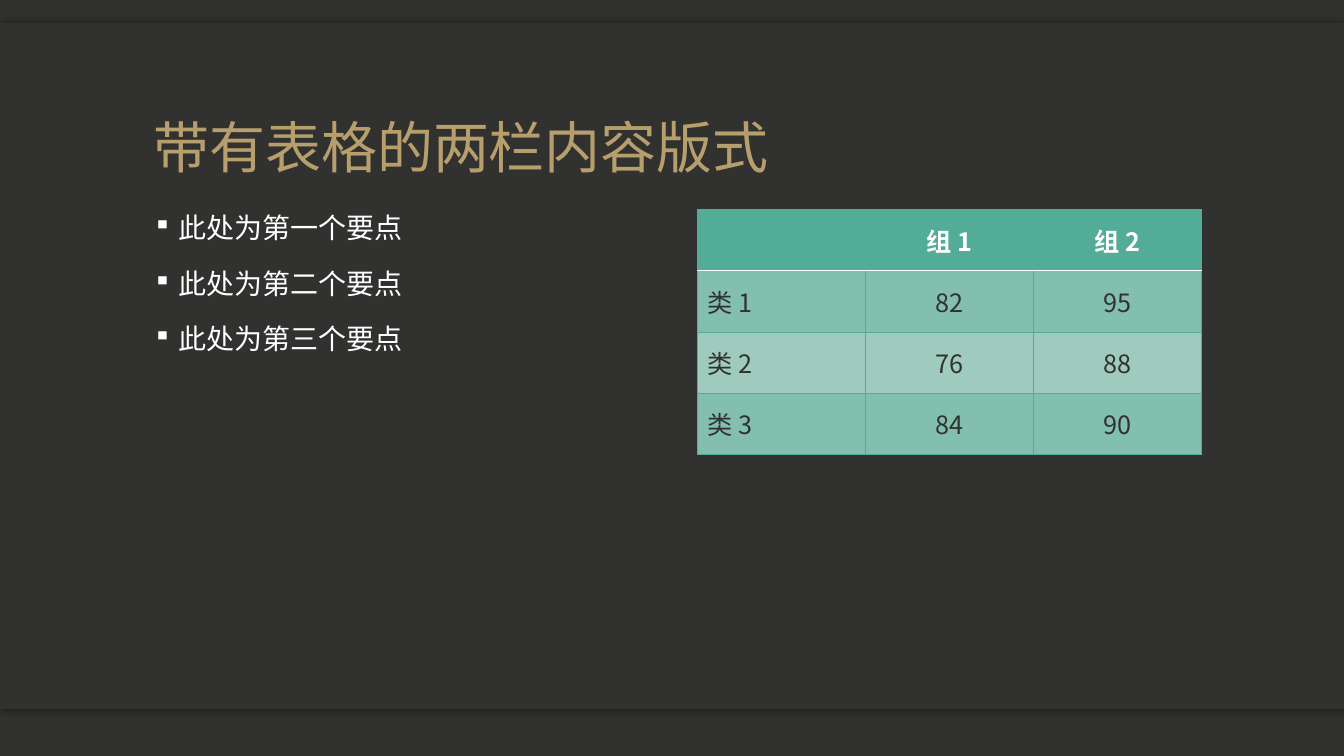
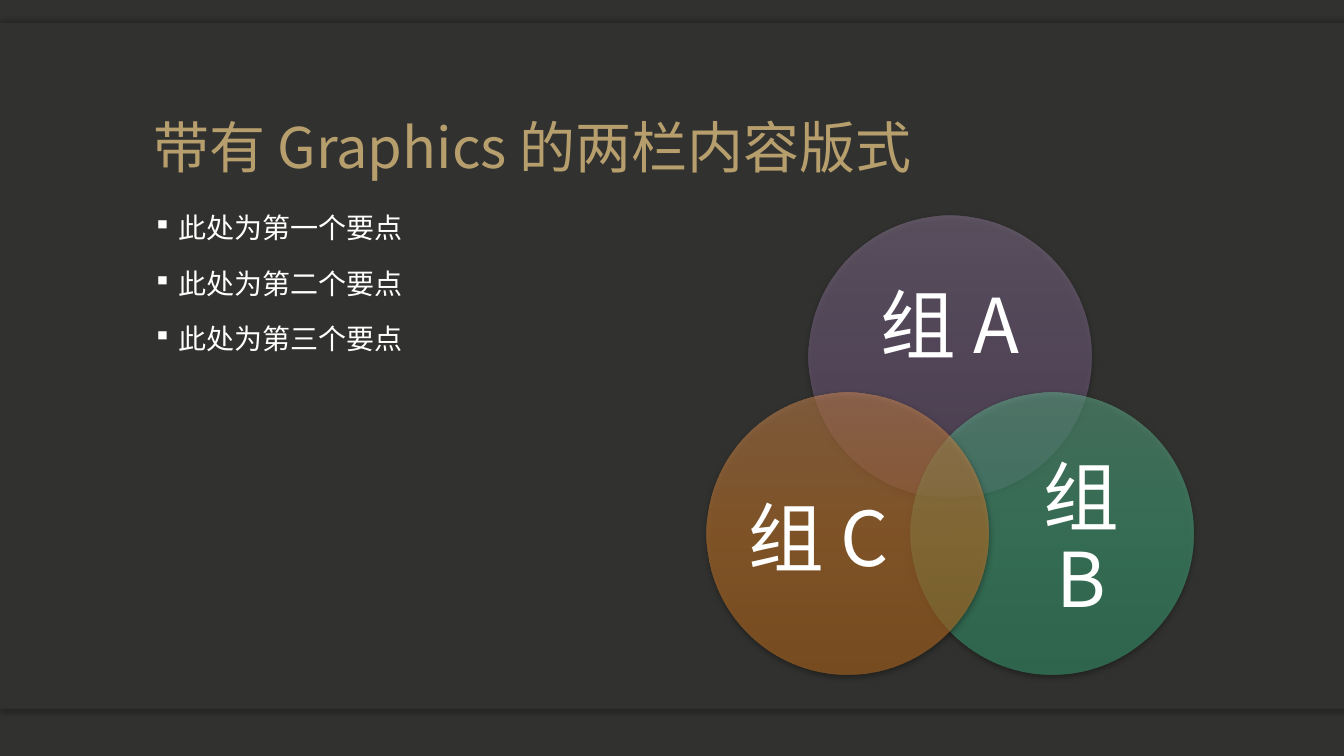
from dataclasses import dataclass
from math import cos, radians, sin

from pptx import Presentation
from pptx.dml.color import RGBColor
from pptx.enum.shapes import MSO_SHAPE
from pptx.enum.text import MSO_ANCHOR, MSO_AUTO_SIZE, PP_ALIGN
from pptx.oxml import parse_xml
from pptx.oxml.ns import nsdecls, qn
from pptx.util import Inches, Pt


@dataclass(frozen=True)
class Theme:
    font: str = "Noto Sans CJK SC"
    dark: str = "31312F"
    white: str = "FFFFFF"
    gold: str = "B79E6D"
    teal: str = "52AC97"
    row_odd: str = "82BFAF"
    row_even: str = "9FCBBF"
    title_size: int = 40
    body_size: int = 20
    table_size: int = 18
    label_size: int = 54


theme = Theme()

# Grid: two equal columns between the side margins
WIDTH, HEIGHT = 13.33, 7.5
MARGIN, COLUMN, GUTTER = 1.42, 5, 0.5
RIGHT = MARGIN + COLUMN + GUTTER
CONTENT_TOP = 2.08


def write(para, text, size, color, bold=False, align=PP_ALIGN.LEFT):
    """Fill one paragraph and format its runs."""
    para.text = text
    para.alignment = align
    for span in para.runs:
        span.font.name = theme.font
        span.font.size = Pt(size)
        span.font.bold = bold
        span.font.color.rgb = RGBColor.from_string(color)
        span.font.fill._xPr.find(qn("a:latin")).addnext(
            parse_xml(f'<a:ea {nsdecls("a")} typeface="{theme.font}"/>'))


def add_plain_shape(page, kind, box, color, shadow=None):
    """Add a shape without outline; shadow is opacity, blur, distance, angle."""
    shape = page.shapes.add_shape(kind, *map(Inches, box))
    shape.fill.solid()
    shape.fill.fore_color.rgb = RGBColor.from_string(color)
    shape.line.fill.background()
    shape.shadow.inherit = False
    if shadow:
        opacity, blur, distance, angle = shadow
        shape.element.spPr.find(qn("a:effectLst")).append(parse_xml(
            f'<a:outerShdw {nsdecls("a")} blurRad="{Pt(blur)}" dist="{Pt(distance)}" '
            f'dir="{angle * 60000}" algn="ctr" rotWithShape="0">'
            f'<a:srgbClr val="000000"><a:alpha val="{opacity * 1000}"/></a:srgbClr>'
            f'</a:outerShdw>'))
    return shape


deck = Presentation()
deck.slide_width, deck.slide_height = Inches(WIDTH), Inches(HEIGHT)
layout = deck.slide_layouts[5]

# Shared background and title place
background = deck.slide_master.background.fill
background.solid()
background.fore_color.rgb = RGBColor.from_string(theme.dark)
heading = layout.placeholders[0]
heading.left, heading.top = Inches(MARGIN), Inches(0.46)
heading.width, heading.height = Inches(2 * COLUMN + GUTTER), Inches(1.38)

# Title and bullet points on every slide
titles = ["带有表格的两栏内容版式", "带有 Graphics 的两栏内容版式"]
points = ["此处为第一个要点", "此处为第二个要点", "此处为第三个要点"]
pages = []
for title in titles:
    page = deck.slides.add_slide(layout)
    pages.append(page)
    frame = page.shapes.title.text_frame
    frame.auto_size = MSO_AUTO_SIZE.NONE
    frame.vertical_anchor = MSO_ANCHOR.BOTTOM
    write(frame.paragraphs[0], title, theme.title_size, theme.gold)
    frame.paragraphs[0].line_spacing = 0.9

    box = page.shapes.add_textbox(
        Inches(MARGIN), Inches(CONTENT_TOP), Inches(COLUMN), Inches(4.67))
    frame = box.text_frame
    frame.word_wrap = True
    frame.text = "\n".join(points)
    for para, point in zip(frame.paragraphs, points):
        write(para, point, theme.body_size, theme.white)
        para.line_spacing = 0.9
        para.space_before = Pt(18)
        properties = para._p.get_or_add_pPr()
        properties.set("marL", str(Inches(0.25)))
        properties.set("indent", str(-Inches(0.25)))
        properties.append(parse_xml(f'<a:buSzPct {nsdecls("a")} val="90000"/>'))
        properties.append(parse_xml(f'<a:buChar {nsdecls("a")} char="▪"/>'))

table_page, circle_page = pages

# Shared bands: drawn once, then moved to the layout behind its placeholders
bands = [
    (6.54, 0.49, (25, 4, 2, 90)),
    (0.23, 0.49, (25, 4, 2, 270)),
    (0.23, 6.8, None),
]
for position, (top, height, shadow) in enumerate(bands):
    band = add_plain_shape(table_page, MSO_SHAPE.RECTANGLE,
                           (0, top, WIDTH, height), theme.dark, shadow)
    layout.shapes.element.insert(2 + position, band.element)

# Table
rows = [
    ["", "组 1", "组 2"],
    ["类 1", "82", "95"],
    ["类 2", "76", "88"],
    ["类 3", "84", "90"],
]
table = table_page.shapes.add_table(
    len(rows), len(rows[0]), Inches(RIGHT), Inches(CONTENT_TOP),
    Inches(COLUMN), Inches(2.43)).table
for row_index, values in enumerate(rows):
    header = row_index == 0
    if header:
        fill = theme.teal
    else:
        fill = theme.row_odd if row_index % 2 else theme.row_even
    for column_index, value in enumerate(values):
        cell = table.cell(row_index, column_index)
        cell.vertical_anchor = MSO_ANCHOR.MIDDLE
        cell.fill.solid()
        cell.fill.fore_color.rgb = RGBColor.from_string(fill)
        write(cell.text_frame.paragraphs[0], value, theme.table_size,
              theme.white if header else theme.dark, header,
              PP_ALIGN.CENTER if column_index else PP_ALIGN.LEFT)
        for order, side in enumerate("LRTB"):
            under_header = (row_index, side) in [(0, "B"), (1, "T")]
            color, weight = (theme.white, 1) if under_header else (theme.teal, 0.5)
            cell._tc.get_or_add_tcPr().insert(order, parse_xml(
                f'<a:ln{side} {nsdecls("a")} w="{Pt(weight)}"><a:solidFill>'
                f'<a:srgbClr val="{color}"/></a:solidFill></a:ln{side}>'))

# Three overlapping circles, evenly spaced on a ring
DIAMETER, RING = 2.8, 1.17
CENTER_X, CENTER_Y = RIGHT + COLUMN / 2, 4.71
# text, angle, gradient colours, label offset from the ring centre, label size
circles = [
    ("组 A", -90, ("907D9B", "826A90", "745D81"), (0, -1.45), (2.05, 1.26)),
    ("组\vB", 30, ("69BB96", "4BB88A", "3DA97B"), (1.3, 0.67), (1.68, 1.54)),
    ("组 C", 150, ("DB945A", "DD862F", "CD7721"), (-1.3, 0.67), (1.68, 1.54)),
]
for text, angle, colors, (shift_x, shift_y), (width, height) in circles:
    left = CENTER_X + RING * cos(radians(angle)) - DIAMETER / 2
    top = CENTER_Y + RING * sin(radians(angle)) - DIAMETER / 2
    circle = add_plain_shape(circle_page, MSO_SHAPE.OVAL,
                             (left, top, DIAMETER, DIAMETER), colors[0],
                             (63, 4.5, 1.5, 90))
    stops = "".join(
        f'<a:gs pos="{index * 50000}"><a:srgbClr val="{color}">'
        f'<a:alpha val="50000"/></a:srgbClr></a:gs>'
        for index, color in enumerate(colors))
    properties = circle.element.spPr
    properties.replace(properties.find(qn("a:solidFill")), parse_xml(
        f'<a:gradFill {nsdecls("a")} rotWithShape="1"><a:gsLst>{stops}</a:gsLst>'
        f'<a:lin ang="5400000" scaled="0"/></a:gradFill>'))

    label = circle_page.shapes.add_textbox(
        Inches(CENTER_X + shift_x - width / 2),
        Inches(CENTER_Y + shift_y - height / 2), Inches(width), Inches(height))
    frame = label.text_frame
    frame.word_wrap = True
    frame.vertical_anchor = MSO_ANCHOR.MIDDLE
    frame.margin_left = frame.margin_right = frame.margin_top = frame.margin_bottom = 0
    write(frame.paragraphs[0], text, theme.label_size, theme.white,
          align=PP_ALIGN.CENTER)
    frame.paragraphs[0].line_spacing = 0.9

deck.save("out.pptx")
